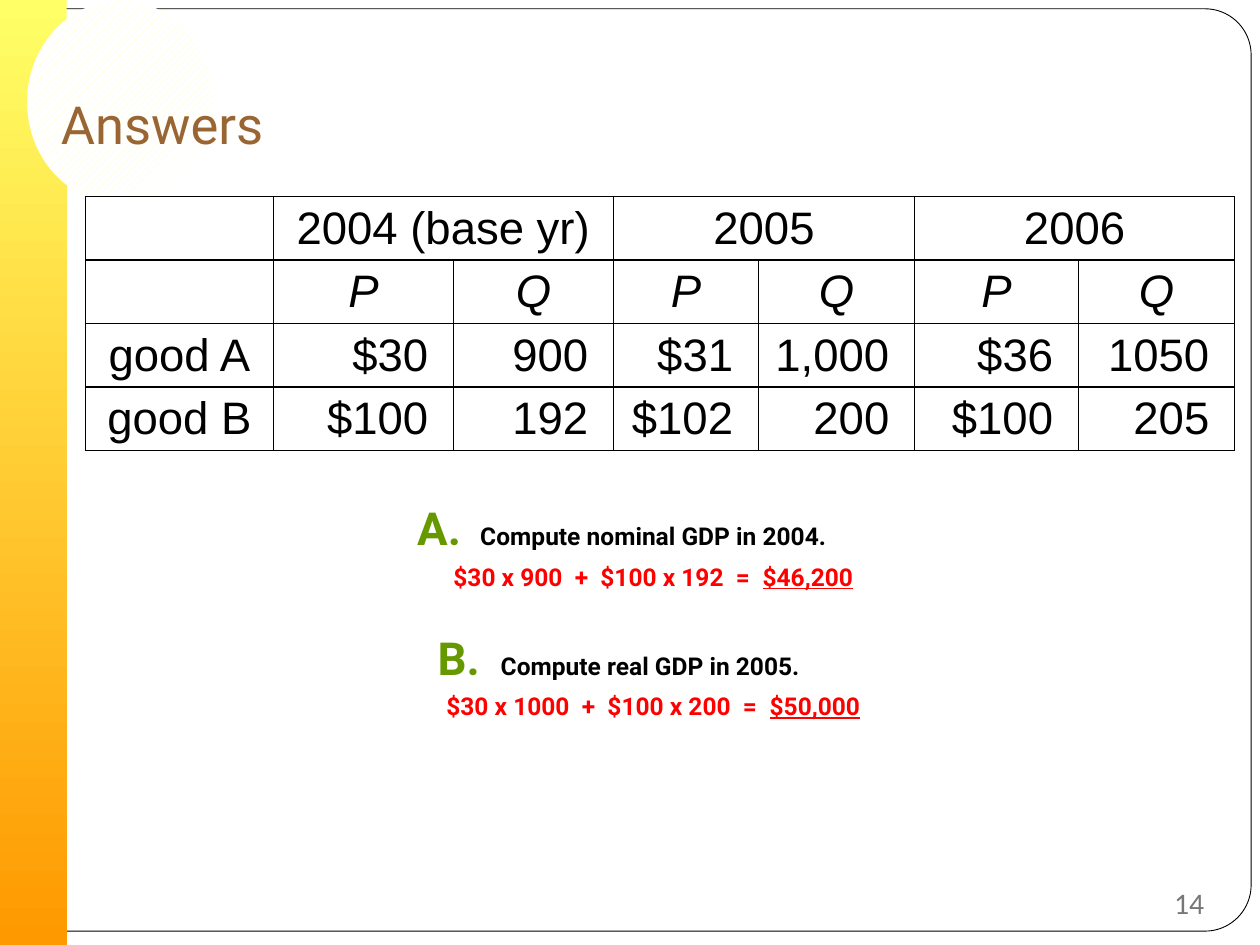
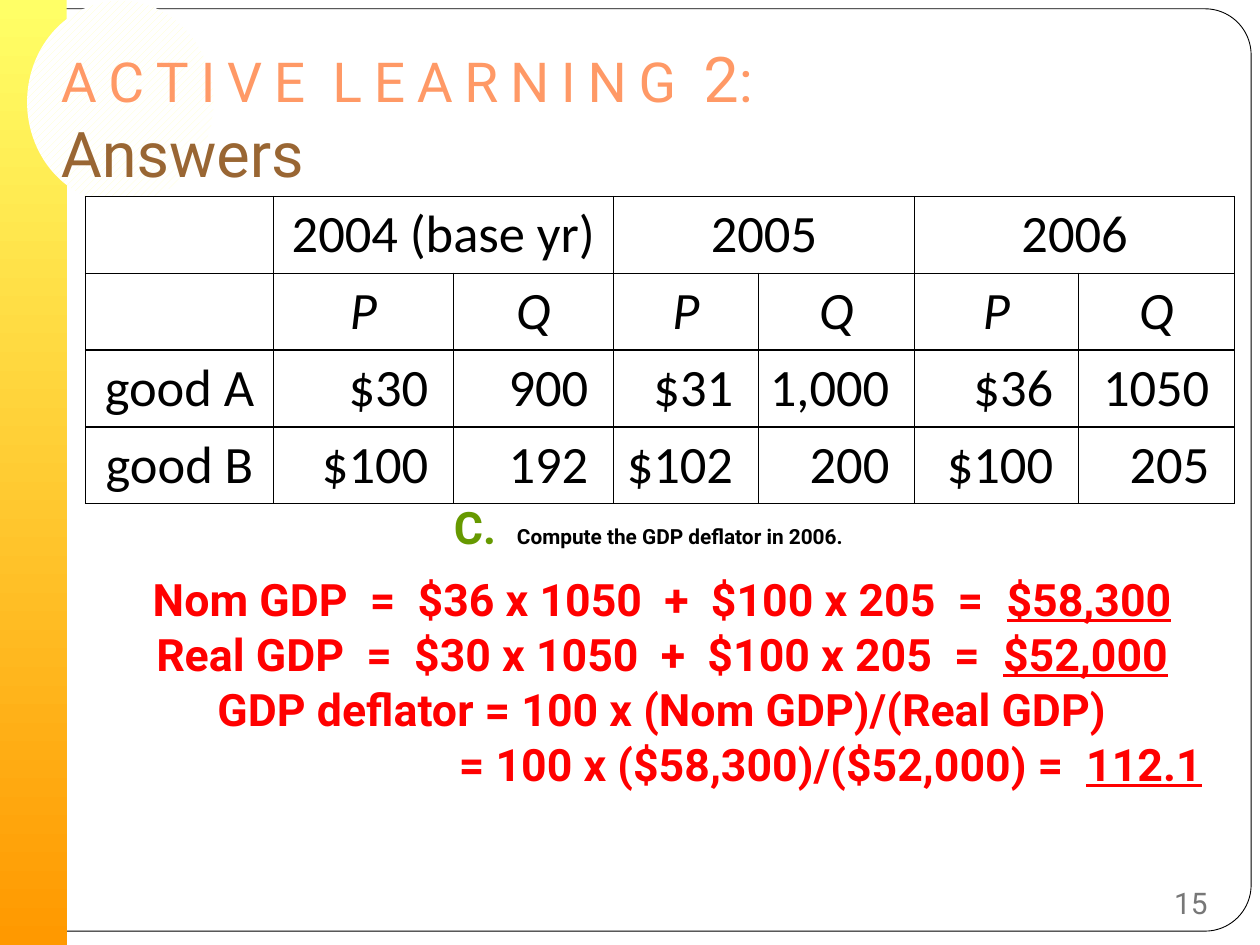
import pptx
import pptx.util
import pptx.dml.color
import pptx.enum.dml
import pptx.enum.shapes
import pptx.enum.text
import pptx.oxml
import pptx.oxml.ns

Pt = pptx.util.Pt
Kind = pptx.enum.shapes.MSO_SHAPE
Align = pptx.enum.text.PP_ALIGN
Anchor = pptx.enum.text.MSO_ANCHOR
WIDE, HIGH = pptx.util.Inches(10), pptx.util.Inches(7.5)
INK, PAPER, RED, GREEN = "000000", "FFFFFF", "FF0000", "669900"
PEACH, BROWN, GREY = "FF9966", "996633", "777777"
COLS = [1.49, 1.43, 1.27, 1.15, 1.24, 1.3, 1.24]
YEARS = ["2004 (base yr)", "2005", "2006"]
GOODS = [
    ["good A", "$30", "900", "$31", "1,000", "$36", "1050"],
    ["good B", "$100", "192", "$102", "200", "$100", "205"],
]


def color(code):
    """Turn a hex string into a colour."""
    return pptx.dml.color.RGBColor.from_string(code)


def place(left, top, wide, high):
    """Turn percentages of the slide into a box."""
    return [int(part * side / 100) for part, side in
            zip((left, top, wide, high), (WIDE, HIGH, WIDE, HIGH))]


def style(font, size, code, face="Roboto", bold=False):
    """Set the main traits of a font."""
    font.size, font.name, font.bold = Pt(size), face, bold
    font.color.rgb = color(code)


def write(para, runs, face="Roboto", bold=False):
    """Add runs given as text, size, colour and optional underline."""
    for text, size, code, *under in runs:
        run = para.add_run()
        run.text = text
        style(run.font, size, code, face, bold)
        if under:
            run.font.underline = True


def shape(slide, kind, box):
    """Add a plain shape without shadow or line."""
    item = slide.shapes.add_shape(kind, *place(*box))
    item.shadow.inherit = False
    item.line.fill.background()
    return item


def frame(slide):
    """Draw the rounded frame, the side band and the disc."""
    edge = shape(slide, Kind.ROUNDED_RECTANGLE, (0.7, 0.93, 98.6, 97.6))
    edge.adjustments[0] = 0.05
    edge.fill.solid()
    edge.fill.fore_color.rgb = color(PAPER)
    edge.line.color.rgb = color(INK)
    edge.line.width = Pt(0.5)
    band = shape(slide, Kind.RECTANGLE, (0, 0, 5.3, 100))
    band.fill.gradient()
    band.fill.gradient_angle = 270
    for stop, code, spot in zip(band.fill.gradient_stops, ("FFFF66", "FF9900"), (0, 1)):
        stop.color.rgb, stop.position = color(code), spot
    disc = shape(slide, Kind.OVAL, (2.15, 0.07, 14.8, 21.47))
    disc.fill.patterned()
    disc.fill.pattern = pptx.enum.dml.MSO_PATTERN.WIDE_UPWARD_DIAGONAL
    disc.fill.fore_color.rgb = color("FFFFCC")
    disc.fill.back_color.rgb = color(PAPER)


def head(slide, lines, box):
    """Move the title above the frame and fill its lines."""
    title = slide.shapes.title
    slide.shapes._spTree.append(title._element)
    title.left, title.top, title.width, title.height = place(*box)
    body = title.text_frame
    body.auto_size = pptx.enum.text.MSO_AUTO_SIZE.NONE
    body.vertical_anchor = Anchor.TOP
    body.margin_left = body.margin_right = Pt(4.5)
    body.margin_top = body.margin_bottom = Pt(4.5)
    for row, runs in enumerate(lines):
        para = body.add_paragraph() if row else body.paragraphs[0]
        para.alignment = Align.LEFT
        write(para, runs)


def spread(words):
    """Space out the letters of words with narrower gaps."""
    runs = []
    for word in words:
        for letter in word:
            runs += [(letter, 31.5, PEACH), (" ", 27, PEACH)]
        runs[-1] = ("  ", 31.5, PEACH)
    return runs


def steps(slide, lines, box):
    """Write centred lines given as left, indent, space before and runs."""
    body = slide.shapes.add_textbox(*place(*box)).text_frame
    body.word_wrap = True
    for row, (left, shift, gap, runs) in enumerate(lines):
        para = body.add_paragraph() if row else body.paragraphs[0]
        para.alignment = Align.CENTER
        para.space_before = Pt(gap)
        props = para._p.get_or_add_pPr()
        props.set("marL", str(pptx.util.Inches(left)))
        props.set("indent", str(pptx.util.Inches(shift)))
        write(para, runs, bold=True)


def ask(mark, text, big, small, gap=0):
    """Make a lettered question line."""
    return 0.5, -0.5, gap, [(mark + "\t", big, GREEN), (text, small, INK)]


def solve(text, total, size, left, gap):
    """Make an answer line with its total underlined."""
    return left, 0, gap, [(text, size, RED), (total, size, RED, True)]


def rule(cell):
    """Draw black lines around a cell."""
    props = cell._tc.get_or_add_tcPr()
    space = pptx.oxml.ns.nsdecls("a")
    for spot, side in enumerate("LRTB"):
        props.insert(spot, pptx.oxml.parse_xml(
            f'<a:ln{side} {space} w="12700"><a:solidFill>'
            f'<a:srgbClr val="{INK}"/></a:solidFill></a:ln{side}>'))


def grid(slide, face, size, box):
    """Add the table of prices and quantities."""
    heads = [""] + [text for year in YEARS for text in (year, "")]
    rows = [heads, [""] + ["P", "Q"] * len(YEARS), *GOODS]
    table = slide.shapes.add_table(len(rows), len(COLS), *place(*box)).table
    for col, wide in zip(table.columns, COLS):
        col.width = pptx.util.Inches(wide)
    for left in range(1, len(COLS), 2):
        table.cell(0, left).merge(table.cell(0, left + 1))
    for r, row in enumerate(rows):
        for c, text in enumerate(row):
            cell = table.cell(r, c)
            cell.fill.solid()
            cell.fill.fore_color.rgb = color(PAPER)
            rule(cell)
            cell.vertical_anchor = Anchor.MIDDLE
            cell.margin_top = cell.margin_bottom = Pt(2.5)
            cell.margin_left = cell.margin_right = Pt(3.6)
            if not text:
                continue
            para = cell.text_frame.paragraphs[0]
            para.text = text
            style(para.font, size, INK, face)
            para.font.italic = r == 1
            para.alignment = Align.CENTER
            if r > 1 and c:
                para.alignment = Align.RIGHT
                cell.margin_right = Pt(14.4)


def page(slide, text, face):
    """Write the page number."""
    body = slide.shapes.add_textbox(*place(92.2, 92.8, 6.7, 5.47)).text_frame
    body.vertical_anchor = Anchor.MIDDLE
    write(body.paragraphs[0], [(text, 17, GREY)], face)


def start(deck):
    """Add a title-only slide with the shared frame."""
    slide = deck.slides.add_slide(deck.slide_layouts[5])
    frame(slide)
    return slide


def gross(deck):
    """Build the answers on nominal and real GDP."""
    slide = start(deck)
    head(slide, [[("Answers", 30, BROWN)]], (4.2, 8.95, 90, 9.2))
    steps(slide, [
        ask("A.", "Compute nominal GDP in 2004.", 26, 14),
        solve("$30 x 900  +  $100 x 192  =  ", "$46,200", 14, 0.5, 4),
        ask("B.", "Compute real GDP in 2005. ", 26, 14, 22),
        solve("$30 x 1000  +  $100 x 200  =  ", "$50,000", 14, 0.5, 4),
    ], (6.3, 52.27, 86.1, 39.6))
    page(slide, "14", "Calibri")
    grid(slide, "Arial", 26, (6.8, 20.8, 91.2, 26.88))


def ratio(deck):
    """Build the answer on the GDP deflator."""
    slide = start(deck)
    head(slide, [
        spread(["ACTIVE", "LEARNING"]) + [("2", 36, PEACH), (":", 33.3, PEACH)],
        [("Answers", 36, BROWN)],
    ], (4.2, 3.33, 90, 15.33))
    steps(slide, [
        ask("C.", "Compute the GDP deflator in 2006. ", 25.5, 11.9),
        solve("Nom GDP  =  $36 x 1050  +  $100 x 205  =  ", "$58,300", 25.5, 0.18, 10.2),
        solve("Real GDP  =  $30 x 1050  +  $100 x 205  =  ", "$52,000", 25.5, 0.18, 0.8),
        (0.18, 0, 0.8, [("GDP deflator = 100 x (Nom GDP)/(Real GDP)", 25.5, RED)]),
        solve("= 100 x ($58,300)/($52,000) =  ", "112.1", 25.5, 2.85, 0.8),
    ], (6.7, 52.27, 89.9, 42.93))
    page(slide, "15", "Roboto")
    grid(slide, "Calibri", 30, (6.8, 20.8, 91.2, 32.5))


def main():
    """Build and save both slides."""
    deck = pptx.Presentation()
    deck.slide_width, deck.slide_height = WIDE, HIGH
    gross(deck)
    ratio(deck)
    deck.save("out.pptx")


if __name__ == "__main__":
    main()
